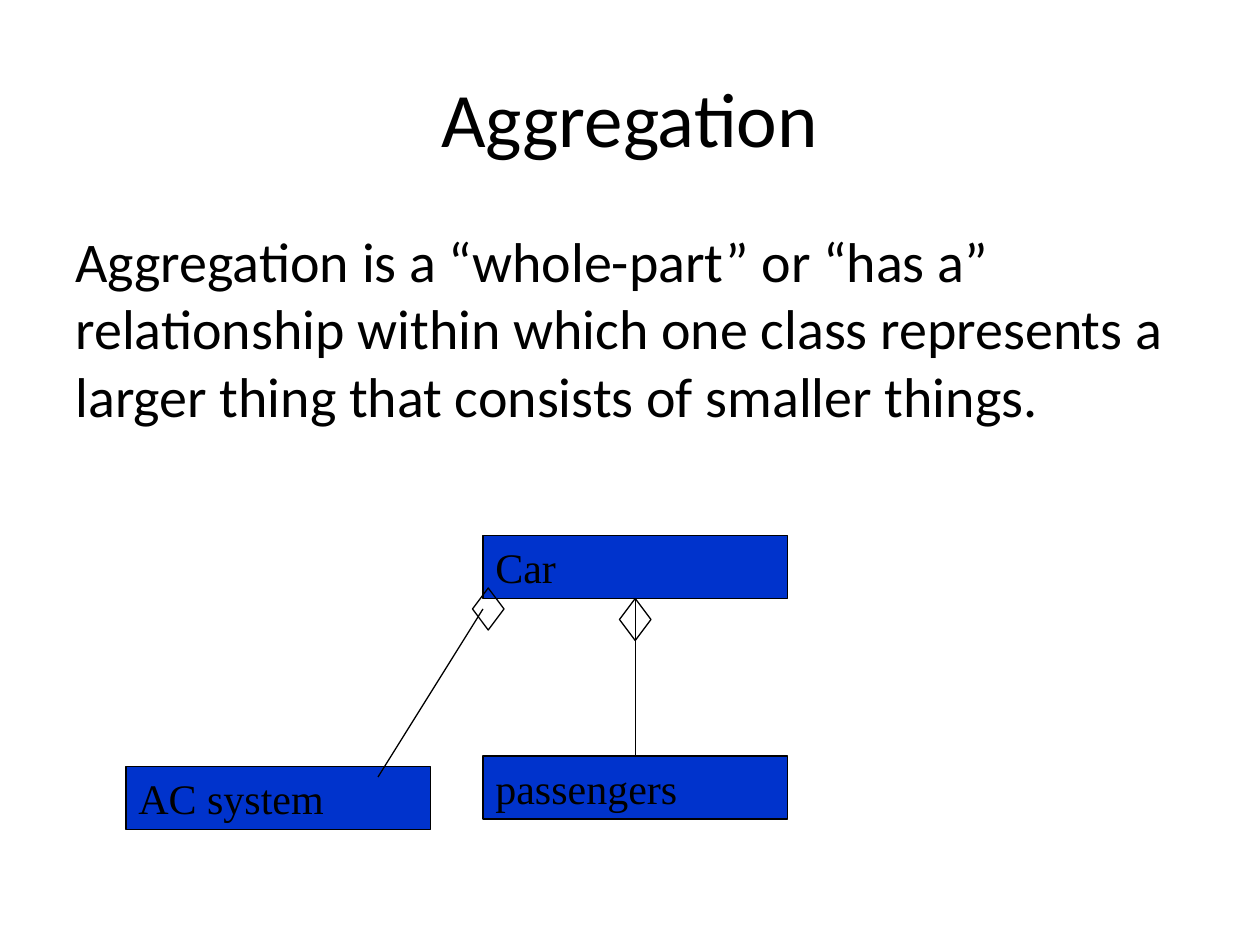
"""Build the Aggregation slide with its small class diagram."""
from lxml.etree import SubElement
from pptx import Presentation
from pptx.dml.color import RGBColor
from pptx.enum.shapes import MSO_CONNECTOR, MSO_SHAPE
from pptx.enum.text import MSO_ANCHOR, PP_ALIGN
from pptx.oxml.ns import qn
from pptx.util import Pt

PX = 9525
BLACK = "000000"
CLASS_WIDTH, CLASS_HEIGHT = 232, 48
DIAMOND_WIDTH, DIAMOND_HEIGHT = 24, 32


def color(value):
    return RGBColor.from_string(value)


def write(box, text, font, size, align, anchor):
    frame = box.text_frame
    frame.word_wrap = True
    frame.vertical_anchor = anchor
    para = frame.paragraphs[0]
    para.alignment = align
    span = para.add_run()
    span.text = text
    span.font.name = font
    span.font.size = Pt(size)
    span.font.color.rgb = color(BLACK)


deck = Presentation()
deck.slide_width = 960 * PX
deck.slide_height = 720 * PX
page = deck.slides.add_slide(deck.slide_layouts[6])

definition = (
    "Aggregation is a “whole-part” or “has a” relationship within which "
    "one class represents a larger thing that consists of smaller things."
)
texts = [
    ("Aggregation", 29, 120, 44, PP_ALIGN.CENTER, MSO_ANCHOR.MIDDLE),
    (definition, 168, 475, 32, PP_ALIGN.LEFT, MSO_ANCHOR.TOP),
]
for text, top, height, size, align, anchor in texts:
    box = page.shapes.add_textbox(48 * PX, top * PX, 864 * PX, height * PX)
    write(box, text, "Calibri", size, align, anchor)

for name, left, top in [("passengers", 368, 576), ("Car", 368, 408), ("AC system", 96, 584)]:
    box = page.shapes.add_shape(
        MSO_SHAPE.RECTANGLE, left * PX, top * PX, CLASS_WIDTH * PX, CLASS_HEIGHT * PX
    )
    box.shadow.inherit = False
    box.fill.solid()
    box.fill.fore_color.rgb = color("0033CC")
    box.line.color.rgb = color(BLACK)
    box.line.width = Pt(0.75)
    write(box, name, "Times New Roman", 24, PP_ALIGN.LEFT, MSO_ANCHOR.MIDDLE)

links = [((484, 576), (484, 456), (472, 456)), ((288, 592), (368, 464), (360, 448))]
for (part_x, part_y), (whole_x, whole_y), (left, top) in links:
    link = page.shapes.add_connector(
        MSO_CONNECTOR.STRAIGHT, part_x * PX, part_y * PX, whole_x * PX, whole_y * PX
    )
    diamond = page.shapes.add_shape(
        MSO_SHAPE.DIAMOND, left * PX, top * PX, DIAMOND_WIDTH * PX, DIAMOND_HEIGHT * PX
    )
    diamond.shadow.inherit = False
    diamond.fill.background()
    for outline in (link.line, diamond.line):
        outline.color.rgb = color(BLACK)
        outline.width = Pt(0.75)
    SubElement(link._element.spPr, qn("a:effectLst"))

deck.save("out.pptx")
